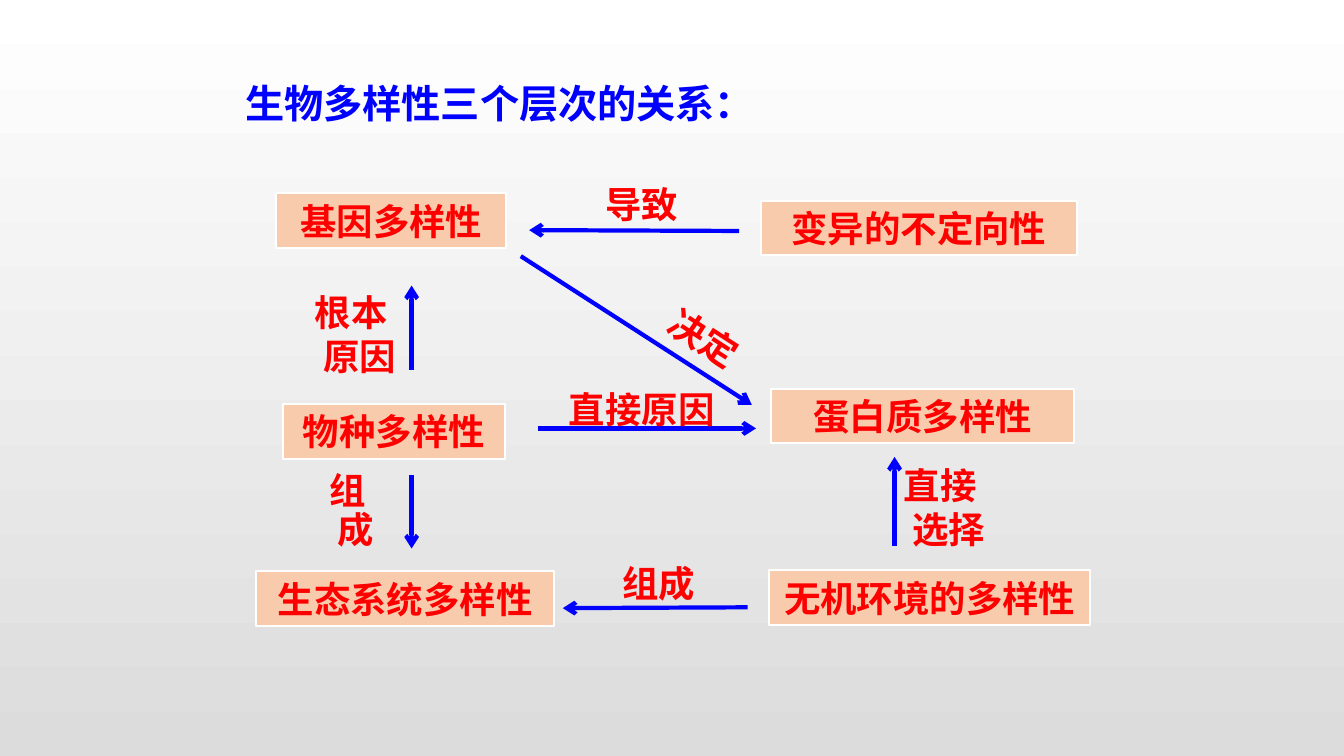
from dataclasses import dataclass

import pptx
import pptx.dml.color
import pptx.enum.shapes
import pptx.enum.text
import pptx.oxml.ns
import pptx.util
from lxml import etree

COLOURS = {
    "blue": "0000FF",
    "red": "FF0000",
    "peach": "F8CBAD",
    "white": "FFFFFF",
    "grey": "DCDCDC",
}
FONT = "Noto Sans CJK SC"
WIDTH, HEIGHT = pptx.util.Inches(13.33), pptx.util.Inches(7.5)
COLUMNS, ROWS = 160, 90
BOX_ROWS = 6.5
STAGGER = 1  # columns by which a label's second line is set in
ALIGN = pptx.enum.text.PP_ALIGN


@dataclass
class Concept:
    text: str
    column: float
    row: float
    columns: float


@dataclass
class Label:
    lines: list[str]
    column: float
    row: float
    columns: float = 14.8
    rows: float = BOX_ROWS
    rotation: float = 0
    spacing: float = 1.0
    size: int = 26
    colour: str = "red"
    align: ALIGN = ALIGN.CENTER


@dataclass
class Arrow:
    start: tuple[float, float]
    end: tuple[float, float]


TITLE = Label(["生物多样性三个层次的关系："], 28, 6, 66.4, 9.7, spacing=1.5,
              size=28, colour="blue", align=ALIGN.LEFT)

CONCEPTS = [
    Concept("基因多样性", 32.9, 23, 27.4),
    Concept("物种多样性", 33.7, 48.1, 26.4),
    Concept("生态系统多样性", 30.5, 68, 35.5),
    Concept("变异的不定向性", 90.6, 23.9, 37.6),
    Concept("蛋白质多样性", 91.8, 46.3, 36.1),
    Concept("无机环境的多样性", 91.6, 67.9, 38.2),
]

ARROWS = [
    Arrow((88, 27.5), (63, 27.4)),
    Arrow((64, 51), (90, 51)),
    Arrow((89, 72.3), (67, 72.4)),
    Arrow((49, 56.6), (49, 65.3)),
    Arrow((106.5, 65), (106.5, 54.4)),
    Arrow((62, 30.5), (89.5, 48.2)),
    Arrow((49, 44), (49, 34)),
]

LABELS = [
    Label(["导致"], 69, 21.1),
    Label(["直接原因"], 66, 45.5, 20.8),
    Label(["组成"], 71, 66.2),
    Label(["决定"], 76.4, 37, rotation=33),
    Label(["根本", "原因"], 36.3, 34, 12.7, 11.6, align=ALIGN.LEFT),
    Label(["组", "成"], 38, 55.7, 8.6, 10.7, spacing=0.9, align=ALIGN.LEFT),
    Label(["直接", "选择"], 106.4, 54.6, 14.8, 11.6, align=ALIGN.LEFT),
]


def across(columns: float) -> int:
    return round(WIDTH * columns / COLUMNS)


def down(rows: float) -> int:
    return round(HEIGHT * rows / ROWS)


def colour(name: str) -> pptx.dml.color.RGBColor:
    return pptx.dml.color.RGBColor.from_string(COLOURS[name])


def add_span(para, text: str, size: int, colour_name: str) -> None:
    span = para.add_run()
    span.text = text
    span.font.name = FONT
    span.font.size = pptx.util.Pt(size)
    span.font.bold = True
    span.font.color.rgb = colour(colour_name)
    east_asian = etree.SubElement(span.font._element, pptx.oxml.ns.qn("a:ea"))
    east_asian.set("typeface", FONT)


def draw_label(page, label: Label) -> None:
    box = page.shapes.add_textbox(across(label.column), down(label.row),
                                  across(label.columns), down(label.rows))
    box.rotation = label.rotation
    frame = box.text_frame
    frame.word_wrap = True
    for number, line in enumerate(label.lines):
        para = frame.add_paragraph() if number else frame.paragraphs[0]
        para.alignment = label.align
        para.line_spacing = label.spacing
        if number:
            para._p.get_or_add_pPr().set("marL", str(across(STAGGER)))
        add_span(para, line, label.size, label.colour)


def draw_concept(page, concept: Concept) -> None:
    box = page.shapes.add_shape(
        pptx.enum.shapes.MSO_SHAPE.RECTANGLE, across(concept.column),
        down(concept.row), across(concept.columns), down(BOX_ROWS))
    box.shadow.inherit = False
    box.fill.solid()
    box.fill.fore_color.rgb = colour("peach")
    box.line.color.rgb = colour("white")
    box.line.width = pptx.util.Pt(1.5)
    frame = box.text_frame
    frame.word_wrap = True
    frame.vertical_anchor = pptx.enum.text.MSO_ANCHOR.MIDDLE
    para = frame.paragraphs[0]
    para.alignment = ALIGN.CENTER
    add_span(para, concept.text, 26, "red")


def draw_arrow(page, arrow: Arrow) -> None:
    line = page.shapes.add_connector(
        pptx.enum.shapes.MSO_CONNECTOR.STRAIGHT,
        across(arrow.start[0]), down(arrow.start[1]),
        across(arrow.end[0]), down(arrow.end[1]))
    line.line.color.rgb = colour("blue")
    line.line.width = pptx.util.Pt(3)
    qn = pptx.oxml.ns.qn
    etree.SubElement(line.line._get_or_add_ln(), qn("a:tailEnd")).set("type", "arrow")
    etree.SubElement(line._element.spPr, qn("a:effectLst"))


def paint_background(page) -> None:
    fill = page.background.fill
    fill.gradient()
    fill.gradient_angle = 270
    for stop, name in zip(fill.gradient_stops, ("white", "grey")):
        stop.color.rgb = colour(name)


def main() -> None:
    deck = pptx.Presentation()
    deck.slide_width, deck.slide_height = WIDTH, HEIGHT
    page = deck.slides.add_slide(deck.slide_layouts[6])
    paint_background(page)

    # Title
    draw_label(page, TITLE)

    # Concepts and the relations between them
    for concept in CONCEPTS:
        draw_concept(page, concept)
    for arrow in ARROWS:
        draw_arrow(page, arrow)
    for label in LABELS:
        draw_label(page, label)

    deck.save("out.pptx")


if __name__ == "__main__":
    main()
